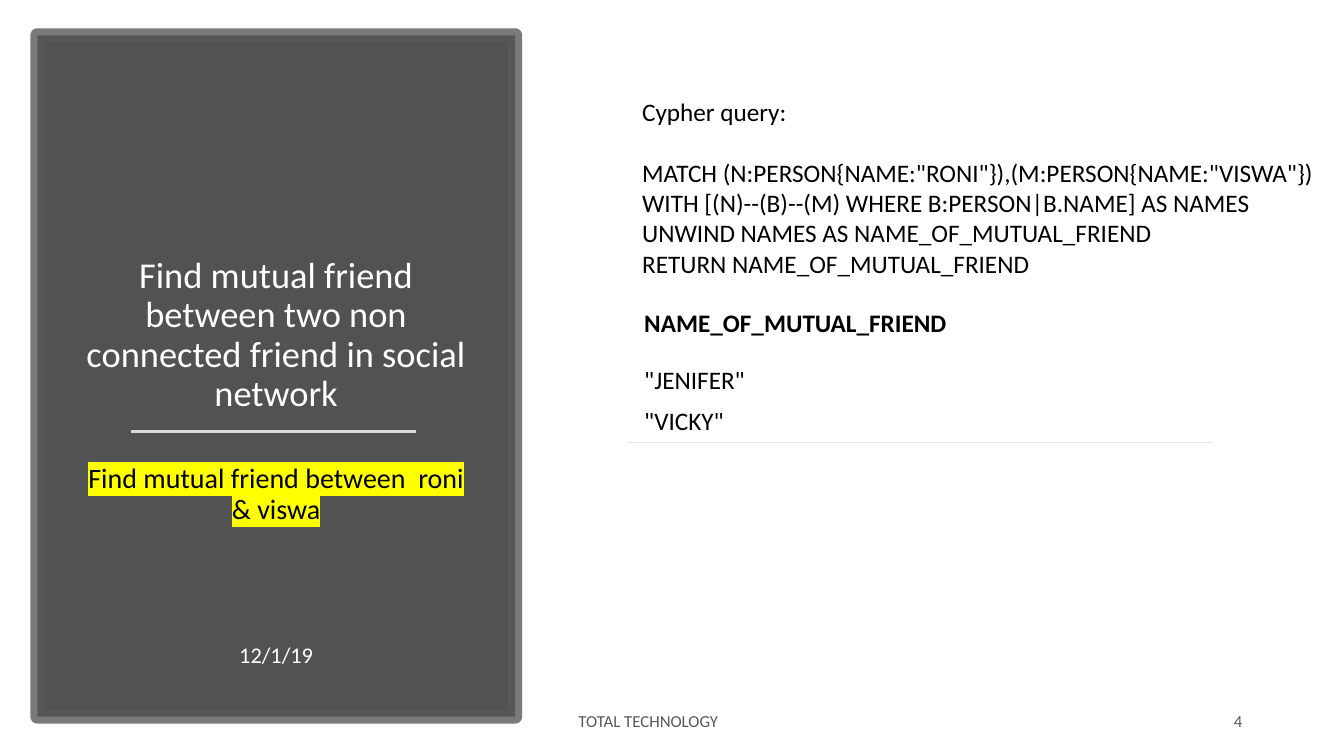
import pptx
import pptx.dml.color
import pptx.enum.shapes
import pptx.enum.text
import pptx.oxml
import pptx.oxml.ns
import pptx.util
from lxml import etree

ALIGN = pptx.enum.text.PP_ALIGN
ANCHOR = pptx.enum.text.MSO_ANCHOR
QN = pptx.oxml.ns.qn
WHITE, BLACK, GRAY = "FFFFFF", "000000", "595959"

QUERY = [
    'MATCH (N:PERSON{NAME:"RONI"}),(M:PERSON{NAME:"VISWA"})',
    "WITH [(N)--(B)--(M) WHERE B:PERSON|B.NAME] AS NAMES",
    "UNWIND NAMES AS NAME_OF_MUTUAL_FRIEND",
    "RETURN NAME_OF_MUTUAL_FRIEND",
]
FRIENDS = ["NAME_OF_MUTUAL_FRIEND", '"JENIFER"', '"VICKY"']


def rgb(value):
    return pptx.dml.color.RGBColor.from_string(value)


def set_attrs(obj, values):
    for name, value in values.items():
        setattr(obj, name, value)


def add_color(parent, tag, value):
    """Append a colour-holding element such as a:solidFill or a:highlight."""
    holder = etree.SubElement(parent, QN(tag))
    etree.SubElement(holder, QN("a:srgbClr"), val=value)
    return holder


def set_alpha(fill, percent):
    clr = fill._xPr.find(".//" + QN("a:srgbClr"))
    etree.SubElement(clr, QN("a:alpha"), val=str(percent * 1000))


class Deck:
    """One slide on a grid of 100 columns by 100 rows."""

    font = "Calibri"

    def __init__(self, width, height):
        self.prs = pptx.Presentation()
        self.prs.slide_width = pptx.util.Inches(width)
        self.prs.slide_height = pptx.util.Inches(height)
        self.s = self.prs.slides.add_slide(self.prs.slide_layouts[5])

    def col(self, n):
        return round(self.prs.slide_width * n / 100)

    def row(self, n):
        return round(self.prs.slide_height * n / 100)

    def box(self, x, y, w, h):
        return self.col(x), self.row(y), self.col(w), self.row(h)

    def fill_text(self, tf, lines, size, color, bold=False, **fmt):
        for i, line in enumerate(lines):
            p = tf.paragraphs[0] if i == 0 else tf.add_paragraph()
            set_attrs(p, fmt)
            r = p.add_run()
            r.text = line
            set_attrs(r.font, {"size": pptx.util.Pt(size), "name": self.font, "bold": bold})
            r.font.color.rgb = rgb(color)

    def panel(self, at, fill, line, width):
        sp = self.s.shapes.add_shape(pptx.enum.shapes.MSO_SHAPE.RECTANGLE, *self.box(*at))
        sp.shadow.inherit = False
        sp.fill.solid()
        sp.fill.fore_color.rgb = rgb(fill)
        set_alpha(sp.fill, 90)
        sp.line.width = pptx.util.Pt(width)
        sp.line.color.rgb = rgb(line)
        set_alpha(sp.line.fill, 80)

    def title(self, at, text, size, color):
        sp = self.s.shapes.title
        names = ("left", "top", "width", "height")
        set_attrs(sp, dict(zip(names, self.box(*at))))
        # Bring the placeholder in front of the panel
        self.s.shapes._spTree.append(sp._element)
        set_attrs(sp.text_frame, {"vertical_anchor": ANCHOR.BOTTOM, "word_wrap": True,
                                  "auto_size": pptx.enum.text.MSO_AUTO_SIZE.NONE})
        self.fill_text(sp.text_frame, [text], size, color,
                       alignment=ALIGN.CENTER, line_spacing=0.9)

    def text(self, at, lines, size, color, anchor=ANCHOR.TOP, wrap=True, **fmt):
        tf = self.s.shapes.add_textbox(*self.box(*at)).text_frame
        set_attrs(tf, {"word_wrap": wrap, "vertical_anchor": anchor})
        self.fill_text(tf, lines, size, color, **fmt)
        return tf

    def highlight(self, tf, color):
        for p in tf.paragraphs:
            for r in p.runs:
                mark = add_color(r.font._element, "a:highlight", color)
                r.font._element.find(QN("a:solidFill")).addnext(mark)

    def rule(self, x1, x2, y, color, width):
        line = self.s.shapes.add_connector(
            pptx.enum.shapes.MSO_CONNECTOR.STRAIGHT,
            self.col(x1), self.row(y), self.col(x2), self.row(y))
        line.line.width = pptx.util.Pt(width)
        line.line.color.rgb = rgb(color)
        etree.SubElement(line._element.spPr, QN("a:effectLst"))

    def cell_borders(self, cell, color, width):
        """Draw only the bottom edge of a cell."""
        tc_pr = cell._tc.get_or_add_tcPr()
        for i, tag in enumerate(("a:lnL", "a:lnR", "a:lnT", "a:lnB")):
            ln = etree.Element(QN(tag), w=str(pptx.util.Pt(width)))
            if tag == "a:lnB":
                add_color(ln, "a:solidFill", color)
            else:
                etree.SubElement(ln, QN("a:noFill"))
            tc_pr.insert(i, ln)

    def table(self, at, values, heights, size):
        """Build a one-column table whose first value is the heading."""
        table = self.s.shapes.add_table(len(values), 1, *self.box(*at)).table
        set_attrs(table, {"first_row": False, "horz_banding": False})
        margins = {f"margin_{side}": pptx.util.Inches(inset) for side, inset in
                   (("left", 0.17), ("right", 0.17), ("top", 0.05), ("bottom", 0.05))}
        for i, (value, height) in enumerate(zip(values, heights)):
            table.rows[i].height = self.row(height)
            cell = table.cell(i, 0)
            set_attrs(cell, margins)
            cell.vertical_anchor = ANCHOR.TOP if i else ANCHOR.MIDDLE
            cell.fill.solid()
            cell.fill.fore_color.rgb = rgb(WHITE)
            self.fill_text(cell.text_frame, [value], size, BLACK, bold=i == 0)
            self.cell_borders(cell, "E6E9EF", 0.75)


def main():
    deck = Deck(13.33, 7.5)
    after = {"anchor": ANCHOR.MIDDLE, "space_after": pptx.util.Pt(6)}
    centered = {"alignment": ALIGN.CENTER, "line_spacing": 0.9}

    deck.panel((2.78, 4.67, 35.56, 90.13), "404040", GRAY, 10)
    deck.title((5.55, 13.33, 30, 42.13),
               "Find mutual friend between two non connected friend in social network", 26, WHITE)
    task = deck.text((5.55, 60.8, 30, 22.27),
                     ["Find mutual friend between  roni & viswa"], 20, BLACK, **centered)
    deck.highlight(task, "FFFF00")
    deck.rule(9.75, 30.98, 57.07, "D9D9D9", 1.75)
    deck.text((5.55, 84.4, 30, 4.8), ["12/1/19"], 16, WHITE, **centered, **after)

    deck.text((42.3, 92.67, 37.88, 5.33), ["TOTAL TECHNOLOGY"], 12, GRAY, **after)
    deck.text((82, 92.67, 11.18, 5.33), ["4"], 12, GRAY, alignment=ALIGN.RIGHT, **after)

    query = deck.text((47.04, 12.13, 51.91, 37.73), ["Cypher query:", *QUERY], 18, BLACK, wrap=False)
    query.paragraphs[1].space_before = pptx.util.Pt(21.6)
    deck.table((46.66, 37.87, 43.59, 20.6), FRIENDS, (9.87, 5.38, 5.38), 18)

    deck.prs.save("out.pptx")


if __name__ == "__main__":
    main()
